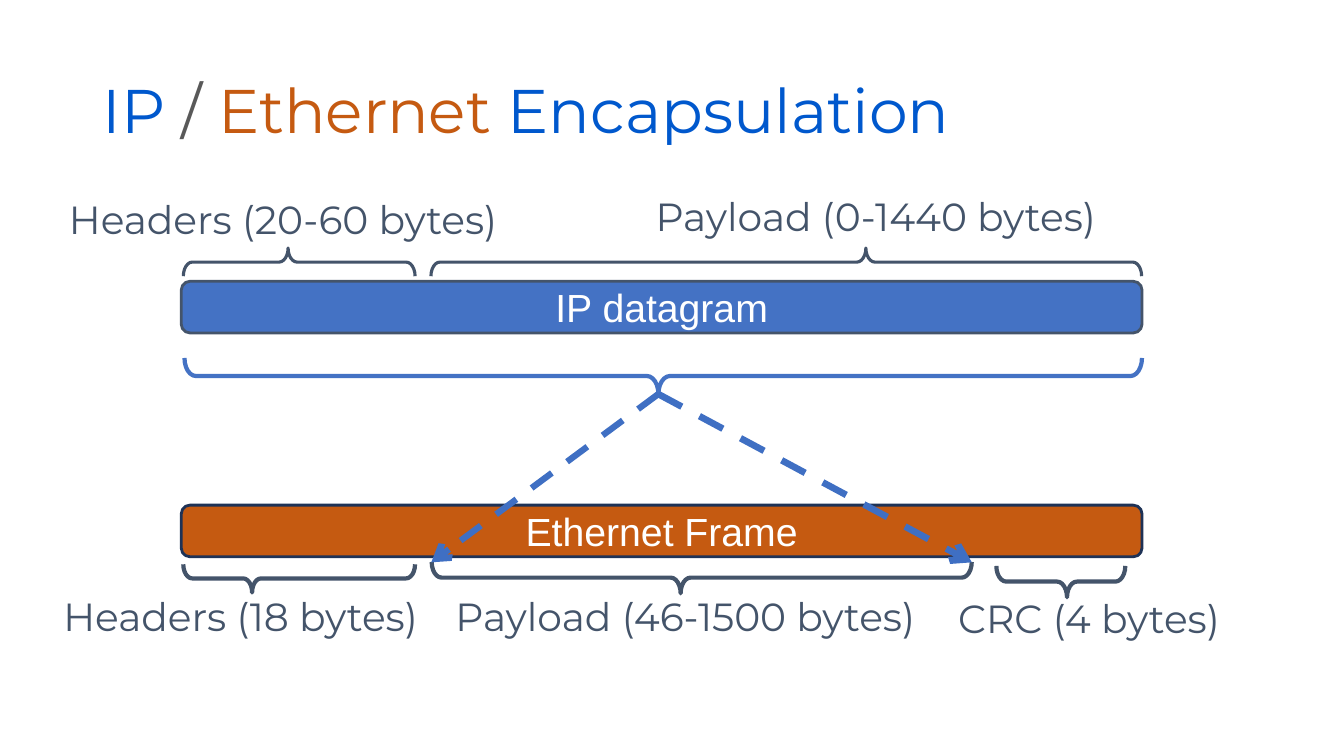
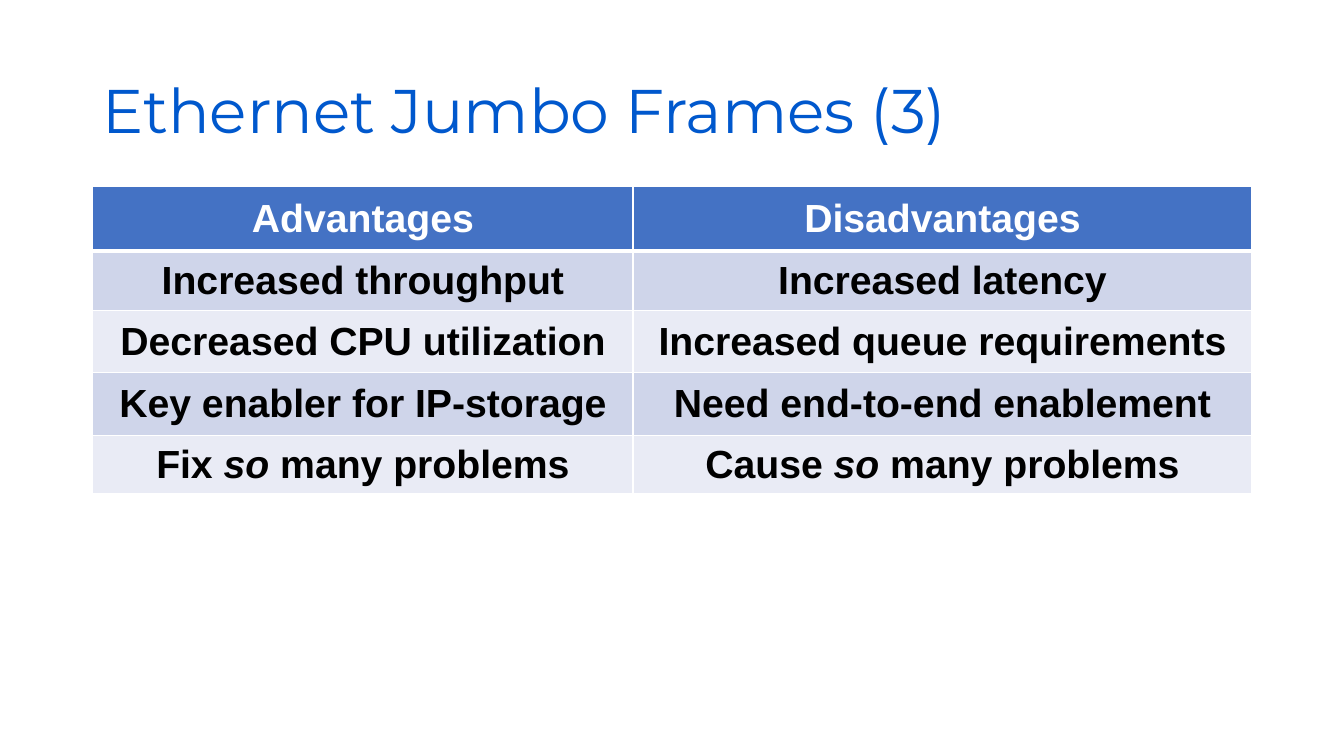
from dataclasses import dataclass

from lxml.etree import SubElement
from pptx import Presentation
from pptx.dml.color import RGBColor
from pptx.enum.dml import MSO_LINE
from pptx.enum.shapes import MSO_CONNECTOR, MSO_SHAPE
from pptx.enum.text import MSO_ANCHOR, MSO_AUTO_SIZE, PP_ALIGN
from pptx.oxml.ns import qn
from pptx.util import Cm, Pt


@dataclass(frozen=True)
class Theme:
    title: str = "0058CD"
    slash: str = "595959"
    ip: str = "4472C4"
    ethernet: str = "C55A11"
    slate: str = "44546A"
    navy: str = "1E3256"
    arrow: str = "3F6FC3"
    white: str = "FFFFFF"
    black: str = "000000"
    dark_band: str = "CFD5EA"
    light_band: str = "E9EBF5"
    display_font: str = "Montserrat"
    plain_font: str = "Arial"
    title_size: int = 44
    text_size: int = 28


theme = Theme()


def write(frame, pieces, *, color, font=theme.plain_font, size=theme.text_size,
          bold=False, align=PP_ALIGN.CENTER, spacing=1.0):
    """Fill a text frame with (text, changes) pieces set in one paragraph."""
    frame.word_wrap = True
    paragraph = frame.paragraphs[0]
    paragraph.alignment = align
    paragraph.line_spacing = spacing
    for text, changes in pieces:
        run = paragraph.add_run()
        run.text = text
        run.font.name = font
        run.font.size = Pt(size)
        run.font.bold = bold
        run.font.italic = changes.get("italic", False)
        run.font.color.rgb = RGBColor.from_string(changes.get("color", color))


def outline(line, color, width):
    line.color.rgb = RGBColor.from_string(color)
    line.width = Pt(width)


deck = Presentation()
deck.slide_width, deck.slide_height = Cm(33.87), Cm(19.05)

# Shared title position
title_layout = deck.slide_layouts[5]
layout_title = title_layout.placeholders[0]
layout_title.left, layout_title.top = Cm(2.34), Cm(1.02)
layout_title.width, layout_title.height = Cm(29.21), Cm(3.68)

# Slides with their titles
headings = [
    [("IP ", {}), ("/ ", {"color": theme.slash}),
     ("Ethernet ", {"color": theme.ethernet}), ("Encapsulation", {})],
    [("Ethernet Jumbo Frames (3)", {})],
]
slides = []
for heading in headings:
    slide = deck.slides.add_slide(title_layout)
    title_frame = slide.shapes.title.text_frame
    title_frame.auto_size = MSO_AUTO_SIZE.NONE
    title_frame.vertical_anchor = MSO_ANCHOR.MIDDLE
    write(title_frame, heading, color=theme.title, font=theme.display_font,
          size=theme.title_size, align=PP_ALIGN.LEFT, spacing=0.9)
    slides.append(slide)
encapsulation, jumbo_frames = slides

# Datagram and frame bars
for name, top, fill, edge in [
    ("IP datagram", 7.09, theme.ip, theme.slate),
    ("Ethernet Frame", 12.73, theme.ethernet, theme.navy),
]:
    bar = encapsulation.shapes.add_shape(
        MSO_SHAPE.ROUNDED_RECTANGLE, Cm(4.57), Cm(top), Cm(24.21), Cm(1.3))
    bar.shadow.inherit = False
    bar.fill.solid()
    bar.fill.fore_color.rgb = RGBColor.from_string(fill)
    outline(bar.line, edge, 2)
    bar.text_frame.vertical_anchor = MSO_ANCHOR.MIDDLE
    write(bar.text_frame, [(name, {})], color=theme.white)

# Braces: visible left, top, span and depth; a left brace turned up or down
UP, DOWN = 90, 270
for left, top, span, depth, turn, tip, color, weight in [
    (4.62, 6.25, 5.84, 0.71, UP, 0.548, theme.slate, 2.25),
    (10.86, 6.25, 17.91, 0.71, UP, 0.388, theme.slate, 2.25),
    (4.62, 14.22, 5.84, 0.71, DOWN, 0.297, theme.slate, 3),
    (10.88, 14.16, 13.61, 0.79, DOWN, 0.461, theme.slate, 3),
    (25.11, 14.26, 3.25, 0.79, DOWN, 0.548, theme.slate, 3),
    (4.65, 9.02, 24.13, 0.91, DOWN, 0.495, theme.ip, 3),
]:
    shift = (span - depth) / 2
    brace = encapsulation.shapes.add_shape(
        MSO_SHAPE.LEFT_BRACE, Cm(left + shift), Cm(top - shift), Cm(depth), Cm(span))
    brace.rotation = turn
    brace.adjustments[0] = 0.317
    brace.adjustments[1] = tip
    brace.shadow.inherit = False
    brace.fill.background()
    outline(brace.line, color, weight)

# Field labels
for words, left, top, width, height, align in [
    ("Headers (20-60 bytes)", 1.19, 4.95, 11.89, 1.3, PP_ALIGN.CENTER),
    ("Payload (0-1440 bytes)", 12.62, 4.39, 18.9, 2.24, PP_ALIGN.CENTER),
    ("Headers (18 bytes)", 1.35, 14.94, 10.01, 1.3, PP_ALIGN.LEFT),
    ("Payload (46-1500 bytes)", 11.23, 14.94, 12.83, 1.3, PP_ALIGN.LEFT),
    ("CRC (4 bytes)", 23.34, 14.38, 8.2, 2.51, PP_ALIGN.CENTER),
]:
    label = encapsulation.shapes.add_textbox(Cm(left), Cm(top), Cm(width), Cm(height))
    label.text_frame.vertical_anchor = MSO_ANCHOR.MIDDLE
    write(label.text_frame, [(words, {})], color=theme.slate,
          font=theme.display_font, align=align, spacing=0.9)

# Dashed arrows from the datagram to both ends of the payload
for payload_end, weight in [(10.87, 4.5), (24.49, 4.75)]:
    arrow = encapsulation.shapes.add_connector(
        MSO_CONNECTOR.STRAIGHT, Cm(16.59), Cm(9.93), Cm(payload_end), Cm(14.17))
    outline(arrow.line, theme.arrow, weight)
    arrow.line.dash_style = MSO_LINE.DASH
    properties = arrow.element.spPr
    SubElement(properties.find(qn("a:ln")), qn("a:tailEnd"), type="arrow")
    SubElement(properties, qn("a:effectLst"))

# Comparison table
comparison = [
    ("Advantages", "Disadvantages"),
    ("Increased throughput", "Increased latency"),
    ("Decreased CPU utilization", "Increased queue requirements"),
    ("Key enabler for IP-storage", "Need end-to-end enablement"),
    ("Fix so many problems", "Cause so many problems"),
]
column_widths = [13.61, 15.6]
row_heights = [1.63, 1.5, 1.55, 1.6, 1.47]
table = jumbo_frames.shapes.add_table(
    len(comparison), len(column_widths), Cm(2.34), Cm(4.7),
    Cm(sum(column_widths)), Cm(sum(row_heights))).table
for column, width in zip(table.columns, column_widths):
    column.width = Cm(width)

for row, (entries, height) in enumerate(zip(comparison, row_heights)):
    table.rows[row].height = Cm(height)
    is_header = row == 0
    band = theme.ip if is_header else (theme.light_band, theme.dark_band)[row % 2]
    # The rule under the header is heavier than the others
    rules = {"L": 1, "R": 1, "T": 3 if row == 1 else 1, "B": 3 if is_header else 1}
    for column, entry in enumerate(entries):
        cell = table.cell(row, column)
        cell.vertical_anchor = MSO_ANCHOR.MIDDLE
        cell_properties = cell._tc.get_or_add_tcPr()
        for side, weight in rules.items():
            rule = SubElement(cell_properties, qn(f"a:ln{side}"), w=str(Pt(weight)))
            SubElement(SubElement(rule, qn("a:solidFill")), qn("a:srgbClr"),
                       val=theme.white)
        cell.fill.solid()
        cell.fill.fore_color.rgb = RGBColor.from_string(band)
        before, stressed, after = entry.partition("so ")
        pieces = [(before, {})]
        if stressed:
            pieces += [("so", {"italic": True}), (" " + after, {})]
        write(cell.text_frame, pieces, bold=True,
              color=theme.white if is_header else theme.black)

deck.save("out.pptx")
